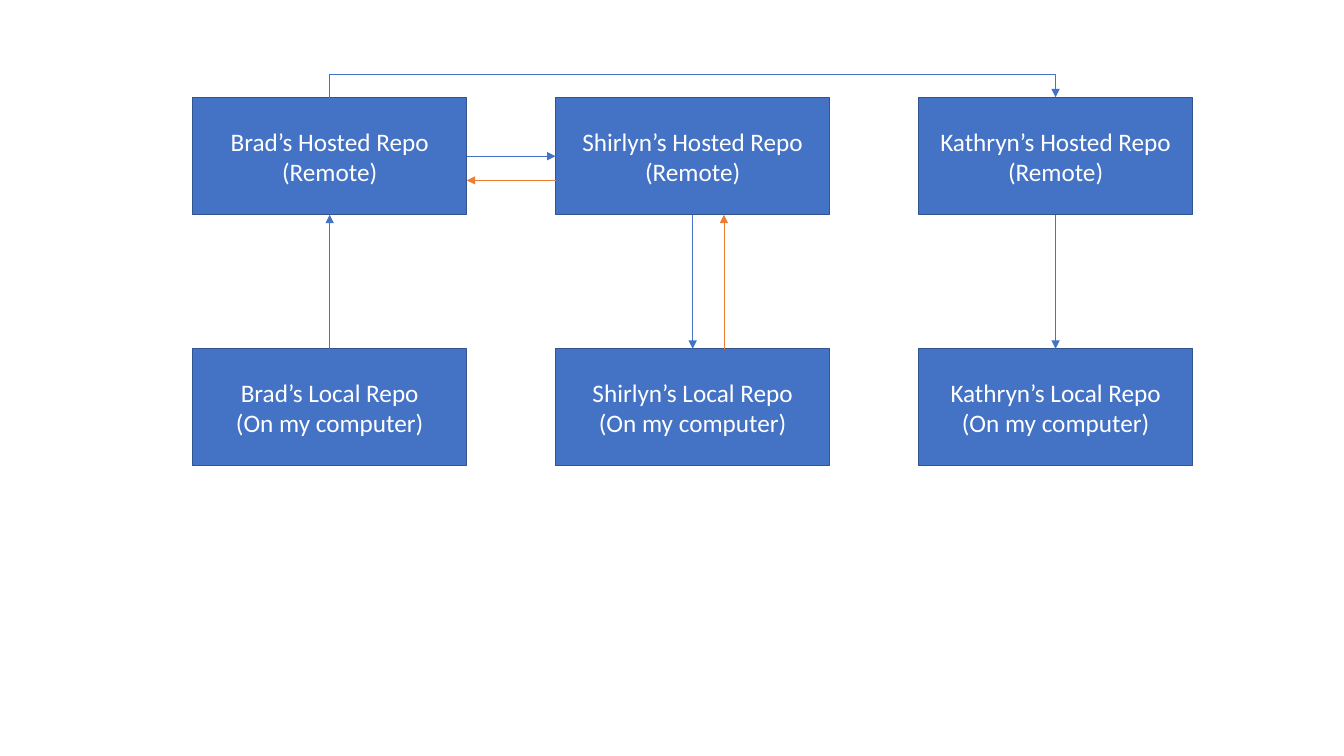
import dataclasses

import lxml.etree
import pptx
import pptx.dml.color
import pptx.enum.shapes
import pptx.enum.text
import pptx.oxml.ns
import pptx.util

Inches = pptx.util.Inches
CONNECTOR = pptx.enum.shapes.MSO_CONNECTOR


@dataclasses.dataclass(frozen=True)
class Theme:
    """Colours, font and sizes of the slide."""
    blue: str = "4472C4"
    outline: str = "325491"
    orange: str = "ED7D31"
    white: str = "FFFFFF"
    font: str = "Calibri"
    text_size: float = 18
    outline_width: float = 1
    arrow_width: float = 0.5


@dataclasses.dataclass(frozen=True)
class Box:
    """A rectangle in inches."""
    left: float
    top: float
    width: float
    height: float

    @property
    def right(self):
        """Return the right edge."""
        return self.left + self.width

    @property
    def bottom(self):
        """Return the bottom edge."""
        return self.top + self.height

    @property
    def center(self):
        """Return the horizontal middle."""
        return self.left + self.width / 2

    @property
    def middle(self):
        """Return the vertical middle."""
        return self.top + self.height / 2


THEME = Theme()
OWNERS = ("Brad", "Shirlyn", "Kathryn")
DIAGRAM = Box(1.91, 0.97, 9.92, 3.65)
REPO_WIDTH, REPO_HEIGHT = 2.72, 1.16
RETURN_GAP_ACROSS, RETURN_GAP_DOWN = 0.24, 0.31
BRIDGE_RISE = 0.24


def rgb(value):
    """Return a colour object for a hex value."""
    return pptx.dml.color.RGBColor.from_string(value)


def add_repo(page, box, lines):
    """Draw one repository box with its centred lines."""
    shape = page.shapes.add_shape(
        pptx.enum.shapes.MSO_SHAPE.RECTANGLE,
        Inches(box.left), Inches(box.top), Inches(box.width), Inches(box.height))
    shape.shadow.inherit = False
    shape.fill.solid()
    shape.fill.fore_color.rgb = rgb(THEME.blue)
    shape.line.color.rgb = rgb(THEME.outline)
    shape.line.width = pptx.util.Pt(THEME.outline_width)
    frame = shape.text_frame
    frame.word_wrap = True
    frame.vertical_anchor = pptx.enum.text.MSO_ANCHOR.MIDDLE
    for index, line in enumerate(lines):
        para = frame.add_paragraph() if index else frame.paragraphs[0]
        para.alignment = pptx.enum.text.PP_ALIGN.CENTER
        span = para.add_run()
        span.text = line
        span.font.name = THEME.font
        span.font.size = pptx.util.Pt(THEME.text_size)
        span.font.color.rgb = rgb(THEME.white)


def add_arrow(page, start, end, color=THEME.blue, kind=CONNECTOR.STRAIGHT):
    """Draw a thin connector with a triangle at its end."""
    arrow = page.shapes.add_connector(kind, *map(Inches, start + end))
    arrow.line.color.rgb = rgb(color)
    arrow.line.width = pptx.util.Pt(THEME.arrow_width)
    qn = pptx.oxml.ns.qn
    outline = arrow.line._get_or_add_ln()
    lxml.etree.SubElement(outline, qn("a:tailEnd"), type="triangle")
    lxml.etree.SubElement(arrow._element.spPr, qn("a:effectLst"))
    return arrow


def add_bridge(page, source, target):
    """Draw the bent arrow that passes over the row of boxes."""
    center = (source.center + target.center) / 2
    half_span = (target.center - source.center) / 2
    thickness = 0.01
    arrow = add_arrow(
        page,
        (center + thickness / 2, source.top + half_span),
        (center - thickness / 2, source.top - half_span),
        kind=CONNECTOR.ELBOW)
    qn = pptx.oxml.ns.qn
    properties = arrow._element.spPr
    properties.find(qn("a:xfrm")).set("rot", str(90 * 60000))
    guides = properties.find(qn("a:prstGeom")).find(qn("a:avLst"))
    bend = round(BRIDGE_RISE / thickness * 100000)
    lxml.etree.SubElement(guides, qn("a:gd"), name="adj1", fmla=f"val {bend}")


def add_diagram(page, box):
    """Place the repositories in a grid and link them."""
    pitch = (box.width - REPO_WIDTH) / (len(OWNERS) - 1)
    remotes, locals_ = [], []
    for column, owner in enumerate(OWNERS):
        left = box.left + column * pitch
        remote = Box(left, box.top, REPO_WIDTH, REPO_HEIGHT)
        local = Box(left, box.bottom - REPO_HEIGHT, REPO_WIDTH, REPO_HEIGHT)
        add_repo(page, remote, (f"{owner}’s Hosted Repo", "(Remote)"))
        add_repo(page, local, (f"{owner}’s Local Repo", "(On my computer)"))
        remotes.append(remote)
        locals_.append(local)

    brad, shirlyn, kathryn = remotes
    low, high = locals_[0].top, brad.bottom
    add_arrow(page, (brad.center, low), (brad.center, high))
    add_arrow(page, (brad.right, brad.middle), (shirlyn.left, brad.middle))
    add_bridge(page, brad, kathryn)
    for remote in (shirlyn, kathryn):
        add_arrow(page, (remote.center, high), (remote.center, low))

    return_x = shirlyn.center + RETURN_GAP_DOWN
    return_y = brad.middle + RETURN_GAP_ACROSS
    add_arrow(page, (return_x, low), (return_x, high), THEME.orange)
    add_arrow(page, (shirlyn.left, return_y), (brad.right, return_y), THEME.orange)


def main():
    """Build and save the deck."""
    deck = pptx.Presentation()
    deck.slide_width, deck.slide_height = Inches(13.33), Inches(7.5)
    page = deck.slides.add_slide(deck.slide_layouts[6])
    add_diagram(page, DIAGRAM)
    deck.save("out.pptx")


if __name__ == "__main__":
    main()
